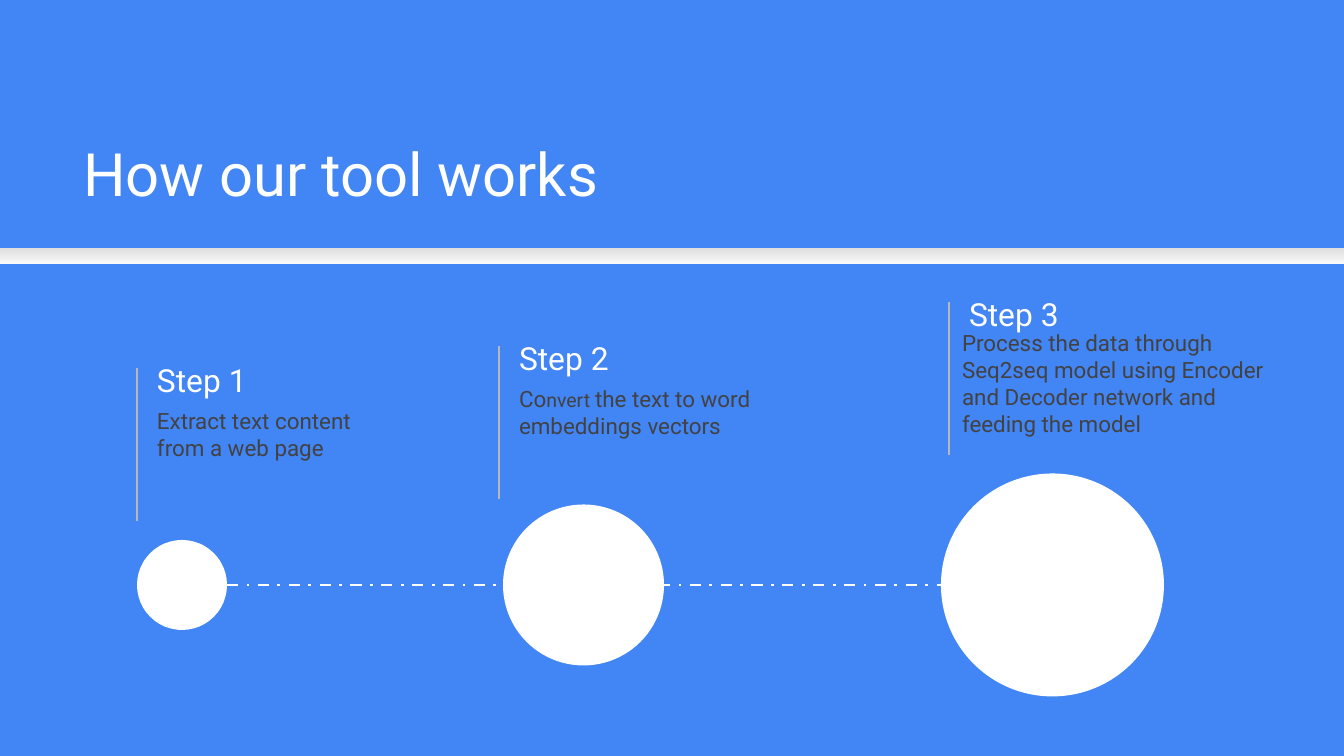
from lxml import etree
from pptx import Presentation
from pptx.dml.color import RGBColor
from pptx.enum.dml import MSO_LINE
from pptx.enum.shapes import MSO_CONNECTOR, MSO_SHAPE
from pptx.enum.text import MSO_ANCHOR, MSO_AUTO_SIZE, PP_ALIGN
from pptx.oxml.ns import qn
from pptx.util import Pt

PX = 914400 / 134.4
WIDTH, HEIGHT = 1344, 756
FONT = "Roboto"
INSET = 13
TOP, MIDDLE, BOTTOM = MSO_ANCHOR.TOP, MSO_ANCHOR.MIDDLE, MSO_ANCHOR.BOTTOM
STRAIGHT = MSO_CONNECTOR.STRAIGHT
RECTANGLE, OVAL = MSO_SHAPE.RECTANGLE, MSO_SHAPE.OVAL
COLORS = {
    "background": "4285F4",
    "white": "FFFFFF",
    "body": "424242",
    "guide": "B7B7B7",
    "band_bottom": "F9F9F9",
    "band_top": "DEDEDE",
}

AXIS = 585
GUIDE_HEIGHT = 153
STEPS = [
    {"heading": "Step 1", "spans": [("Extract text content from a web page", 12)],
     "guide": (137, 368), "body": (7, 26, 266, 85), "circle": (137, 90)},
    {"heading": "Step 2",
     "spans": [("Co", 12), ("nvert ", 10.5), ("the text to word embeddings vectors", 12)],
     "guide": (499, 346), "body": (7, 26, 266, 126), "circle": (503, 161)},
    {"heading": "Step 3",
     "spans": [("Process the data through Seq2seq model using Encoder "
                "and Decoder network and feeding the model", 12)],
     "guide": (949, 302), "body": (0, 14, 355, 126), "circle": (941, 223)},
]


def px(value):
    return round(value * PX)


def color(name):
    return RGBColor.from_string(COLORS[name])


def write(shape, spans, fill, anchor):
    frame = shape.text_frame
    frame.word_wrap = True
    frame.auto_size = MSO_AUTO_SIZE.NONE
    frame.vertical_anchor = anchor
    frame.margin_left = frame.margin_right = px(INSET)
    frame.margin_top = frame.margin_bottom = px(INSET)
    para = frame.paragraphs[0]
    para.alignment = PP_ALIGN.LEFT
    para.font.name = FONT
    para.font.color.rgb = color(fill)
    para.font.size = Pt(spans[0][1])
    for text, size in spans:
        span = para.add_run()
        span.text = text
        if size != spans[0][1]:
            span.font.size = Pt(size)


def add_text(page, box, spans, fill, anchor):
    write(page.shapes.add_textbox(*map(px, box)), spans, fill, anchor)


def add_line(page, ends, stroke, weight, dash=None):
    line = page.shapes.add_connector(STRAIGHT, *map(px, ends))
    line.line.color.rgb = color(stroke)
    line.line.width = Pt(weight)
    if dash:
        line.line.dash_style = dash
    etree.SubElement(line._element.spPr, qn("a:effectLst"))


def add_plain_shape(page, kind, box):
    shape = page.shapes.add_shape(kind, *map(px, box))
    shape.shadow.inherit = False
    shape.line.fill.background()
    return shape


def add_header(page, left, top, width, height):
    band = add_plain_shape(page, RECTANGLE, (left, top + height, width, 16))
    band.fill.gradient()
    band.fill.gradient_angle = 90
    for stop, name in zip(band.fill.gradient_stops, ("band_bottom", "band_top")):
        stop.color.rgb = color(name)
    title = page.shapes.title
    title.left, title.top = px(left + 70), px(top + 109)
    title.width, title.height = px(width - 136), px(113)
    write(title, [("How our tool works", 32)], "white", BOTTOM)


def add_step(page, step):
    left, top = step["guide"]
    dx, dy, width, height = step["body"]
    add_line(page, (left, top, left, top + GUIDE_HEIGHT), "guide", 0.75)
    add_text(page, (left + 7, top - 17, 266, 58), [(step["heading"], 17)], "white", MIDDLE)
    add_text(page, (left + dx, top + dy, width, height), step["spans"], "body", TOP)


def add_timeline(page, circles):
    first_left, first_size = circles[0]
    add_line(page, (first_left + first_size, AXIS, circles[-1][0], AXIS),
             "white", 1.5, MSO_LINE.DASH_DOT)
    for left, size in circles:
        circle = add_plain_shape(page, OVAL, (left, AXIS - size / 2, size, size))
        circle.fill.solid()
        circle.fill.fore_color.rgb = color("white")


def main():
    deck = Presentation()
    deck.slide_width, deck.slide_height = px(WIDTH), px(HEIGHT)
    page = deck.slides.add_slide(deck.slide_layouts[5])
    page.background.fill.solid()
    page.background.fill.fore_color.rgb = color("background")
    add_header(page, 0, 0, WIDTH, 248)
    for step in STEPS:
        add_step(page, step)
    add_timeline(page, [step["circle"] for step in STEPS])
    deck.save("out.pptx")


if __name__ == "__main__":
    main()
